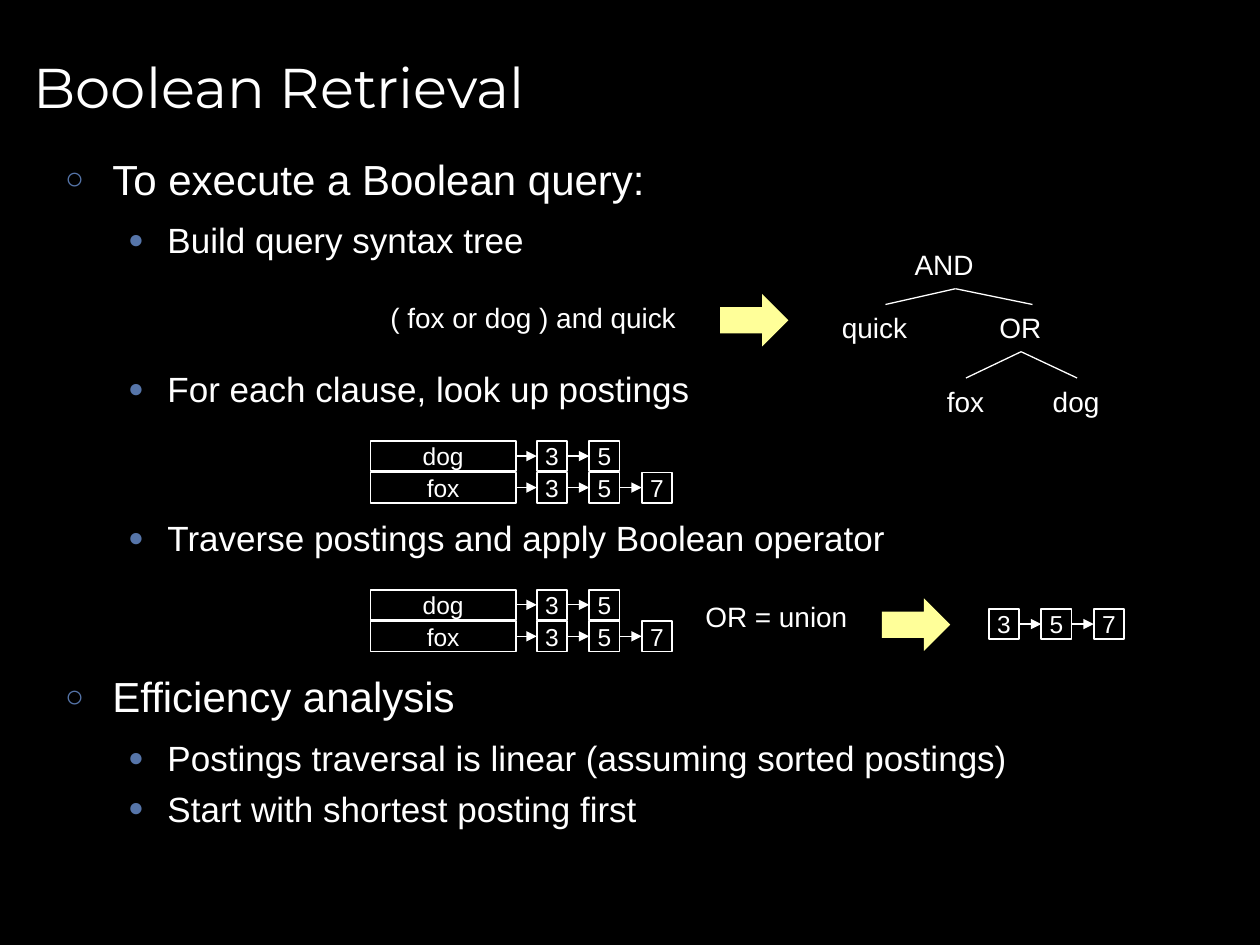
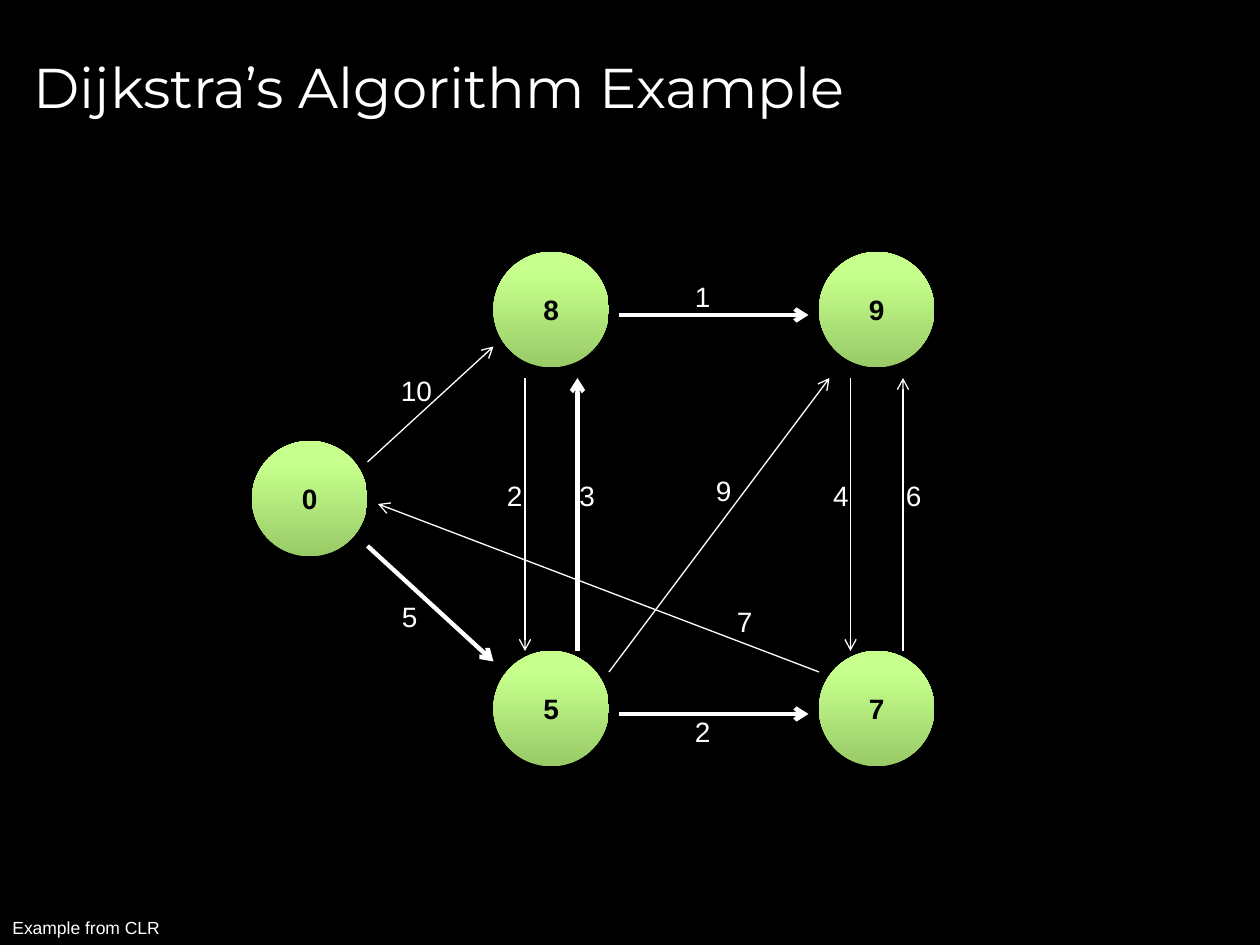
from itertools import pairwise

from lxml.etree import SubElement
from pptx import Presentation
from pptx.dml.color import RGBColor
from pptx.enum.shapes import MSO_CONNECTOR, MSO_SHAPE
from pptx.enum.text import MSO_ANCHOR, MSO_AUTO_SIZE, PP_ALIGN
from pptx.oxml.ns import qn
from pptx.util import Pt

BLACK, WHITE, BLUE, YELLOW = "000000", "FFFFFF", "5675A9", "FFFF99"
GREEN_DARK, GREEN_LIGHT = "98CA67", "C6FF8C"
TITLE_FONT, TEXT_FONT = "Montserrat", "Arial"
LABEL_HEIGHT = 26.5
CELL, CELL_STEP, ROW_STEP = 17.25, 30, 18
TERM_LEFT, TERM_WIDTH, FIRST_CELL_LEFT = 211.75, 83, 306.75
NODE_SIZE = 66
DIAGRAM_GAP = 56
THIN, THICK = 0.75, 2.5
LEVELS = [
    {"size": 24, "margin": 27, "hanging": 27, "space": 6, "bullet": "○"},
    {"size": 20, "margin": 58.5, "hanging": 22.5, "space": 2.5, "bullet": "●"},
]
OUTLINE = [
    (0, "To execute a Boolean query:", 0),
    (1, "Build query syntax tree", 0),
    (1, "For each clause, look up postings", DIAGRAM_GAP),
    (1, "Traverse postings and apply Boolean operator", DIAGRAM_GAP),
    (0, "Efficiency analysis", DIAGRAM_GAP),
    (1, "Postings traversal is linear (assuming sorted postings)", 0),
    (1, "Start with shortest posting first", 0),
]
TREE_LABELS = [
    ("AND", 515.5, 138, 48),
    ("quick", 474, 174, 52),
    ("OR", 564, 174, 39),
    ("fox", 534, 216, 36),
    ("dog", 594.5, 216, 41),
]
TREE_BRANCHES = [
    ((546, 165), [(506, 174), (590, 174)]),
    ((583.5, 201), [(552, 216), (615.5, 216)]),
]
POSTINGS = [("dog", "35"), ("fox", "357")]
NODES = [("0", 144, 252), ("8", 282, 144), ("5", 282, 372), ("9", 468, 144), ("7", 468, 372)]
EDGES = [
    ((210, 312), (282, 378), THICK),
    ((210, 264), (282, 198), THIN),
    ((354, 408), (462, 408), THICK),
    ((354, 180), (462, 180), THICK),
    ((348, 384), (474, 216), THIN),
    ((468, 384), (216, 288), THIN),
    ((330, 372), (330, 216), THICK),
    ((300, 216), (300, 372), THIN),
    ((516, 372), (516, 216), THIN),
    ((486, 216), (486, 372), THIN),
]
EDGE_WEIGHTS = [
    ("10", 222, 210, 32),
    ("5", 222.5, 339, 24),
    ("2", 282.5, 270, 24),
    ("3", 324, 270, 24),
    ("2", 390, 405, 24),
    ("1", 390, 156, 24),
    ("9", 402, 267, 24),
    ("7", 414, 342, 24),
    ("4", 469, 270, 24),
    ("6", 510.5, 270, 24),
]


def color(value):
    """Turn a hex string into a colour."""
    return RGBColor.from_string(value)


def place(shape, left, top, width, height):
    """Move and size a shape, in points."""
    shape.left, shape.top, shape.width, shape.height = map(Pt, (left, top, width, height))


def add_span(para, text, size, ink=WHITE, font=TEXT_FONT, bold=False):
    """Add one formatted run to a paragraph."""
    span = para.add_run()
    span.text = text
    span.font.name = font
    span.font.size = Pt(size)
    span.font.bold = bold
    span.font.color.rgb = color(ink)


def add_page(deck, layout, title):
    """Add a slide with the shared title style."""
    page = deck.slides.add_slide(deck.slide_layouts.get_by_name(layout))
    box = page.shapes.title
    place(box, 12, 9, 684, 80.5)
    frame = box.text_frame
    frame.auto_size = MSO_AUTO_SIZE.NONE
    frame.vertical_anchor = MSO_ANCHOR.MIDDLE
    para = frame.paragraphs[0]
    para.alignment = PP_ALIGN.LEFT
    add_span(para, title, 32, font=TITLE_FONT)
    return page


def set_bullet(para, style):
    """Give a paragraph its indent and coloured bullet."""
    properties = para._p.get_or_add_pPr()
    properties.set("marL", str(Pt(style["margin"])))
    properties.set("indent", str(-Pt(style["hanging"])))
    bullet_color = SubElement(properties, qn("a:buClr"))
    SubElement(bullet_color, qn("a:srgbClr"), val=BLUE)
    SubElement(properties, qn("a:buSzPct"), val="75000")
    SubElement(properties, qn("a:buChar"), char=style["bullet"])


def fill_outline(box, items):
    """Write a two-level list, leaving room above items that follow a diagram."""
    place(box, 30, 84, 666, 402)
    frame = box.text_frame
    frame.auto_size = MSO_AUTO_SIZE.NONE
    for index, (level, text, gap) in enumerate(items):
        para = frame.add_paragraph() if index else frame.paragraphs[0]
        style = LEVELS[level]
        para.level = level
        para.space_before = Pt(style["space"] + gap if index else 0)
        para.space_after = Pt(style["space"])
        set_bullet(para, style)
        add_span(para, text, style["size"])


def add_label(page, text, left, top, width, size=16, height=LABEL_HEIGHT):
    """Add a one-line text box."""
    box = page.shapes.add_textbox(Pt(left), Pt(top), Pt(width), Pt(height))
    box.text_frame.word_wrap = False
    box.text_frame.auto_size = MSO_AUTO_SIZE.SHAPE_TO_FIT_TEXT
    add_span(box.text_frame.paragraphs[0], text, size)


def add_figure(page, kind, left, top, width, height):
    """Add a preset shape without shadow."""
    shape = page.shapes.add_shape(kind, Pt(left), Pt(top), Pt(width), Pt(height))
    shape.shadow.inherit = False
    return shape


def add_centered(shape, text, size, ink, bold=False):
    """Write one centred line in a shape."""
    frame = shape.text_frame
    frame.word_wrap = False
    frame.vertical_anchor = MSO_ANCHOR.MIDDLE
    para = frame.paragraphs[0]
    para.alignment = PP_ALIGN.CENTER
    add_span(para, text, size, ink, bold=bold)


def add_cell(page, text, left, top, width=CELL):
    """Add an outlined box of a postings list."""
    cell = add_figure(page, MSO_SHAPE.RECTANGLE, left, top, width, CELL)
    cell.fill.background()
    cell.line.color.rgb = color(WHITE)
    cell.line.width = Pt(1)
    add_centered(cell, text, 14, WHITE)
    return cell


def add_line(page, start=(0, 0), end=(0, 0), width=THIN, head=None):
    """Add a straight white line with an optional arrowhead."""
    line = page.shapes.add_connector(MSO_CONNECTOR.STRAIGHT, *map(Pt, start + end))
    line.line.color.rgb = color(WHITE)
    line.line.width = Pt(width)
    properties = line.element.spPr
    if head:
        SubElement(properties.find(qn("a:ln")), qn("a:tailEnd"), type=head)
    SubElement(properties, qn("a:effectLst"))
    return line


def add_chain(page, numbers, left, top, term=None):
    """Add linked postings, led by their term if there is one."""
    cells = [add_cell(page, term, TERM_LEFT, top, TERM_WIDTH)] if term else []
    for index, number in enumerate(numbers):
        cells.append(add_cell(page, number, left + index * CELL_STEP, top))
    for before, after in pairwise(cells):
        link = add_line(page, head="triangle")
        link.begin_connect(before, 3)
        link.end_connect(after, 1)


def add_postings(page, top):
    """Add the postings lists of all terms."""
    for row, (term, numbers) in enumerate(POSTINGS):
        add_chain(page, numbers, FIRST_CELL_LEFT, top + row * ROW_STEP, term)


def add_block_arrow(page, left, top):
    """Add a yellow arrow that leads to a result."""
    arrow = add_figure(page, MSO_SHAPE.RIGHT_ARROW, left, top, 39, 30)
    arrow.fill.solid()
    arrow.fill.fore_color.rgb = color(YELLOW)
    arrow.line.fill.background()


def add_node(page, text, left, top):
    """Add a graph node with a green gradient."""
    node = add_figure(page, MSO_SHAPE.OVAL, left, top, NODE_SIZE, NODE_SIZE)
    node.fill.gradient()
    node.fill.gradient_angle = 90
    dark, light = node.fill.gradient_stops
    dark.color.rgb, dark.position = color(GREEN_DARK), 0
    light.color.rgb, light.position = color(GREEN_LIGHT), 0.8
    node.line.fill.background()
    add_centered(node, text, 16, BLACK, bold=True)


def build_boolean_page(deck):
    """Build the slide on Boolean retrieval."""
    page = add_page(deck, "Title and Content", "Boolean Retrieval")
    fill_outline(page.placeholders[1], OUTLINE)
    add_label(page, "( fox or dog ) and quick", 216, 168, 180)
    add_block_arrow(page, 411.5, 168)
    for label in TREE_LABELS:
        add_label(page, *label)
    for parent, children in TREE_BRANCHES:
        for child in children:
            add_line(page, parent, child)
    add_postings(page, 252)
    add_postings(page, 337)
    add_label(page, "OR = union", 396, 339, 96.5)
    add_block_arrow(page, 504, 342)
    add_chain(page, "357", 565, 348)


def build_dijkstra_page(deck):
    """Build the slide with the weighted graph."""
    page = add_page(deck, "Title Only", "Dijkstra’s Algorithm Example")
    for node in NODES:
        add_node(page, *node)
    for start, end, width in EDGES:
        add_line(page, start, end, width, "arrow")
    for weight in EDGE_WEIGHTS:
        add_label(page, *weight)
    add_label(page, "Example from CLR", 0, 520.5, 99, size=10, height=19.5)


def main():
    """Build and save the deck."""
    deck = Presentation()
    deck.slide_width, deck.slide_height = Pt(720), Pt(540)
    background = deck.slide_master.background.fill
    background.solid()
    background.fore_color.rgb = color(BLACK)
    build_boolean_page(deck)
    build_dijkstra_page(deck)
    deck.save("out.pptx")


if __name__ == "__main__":
    main()
